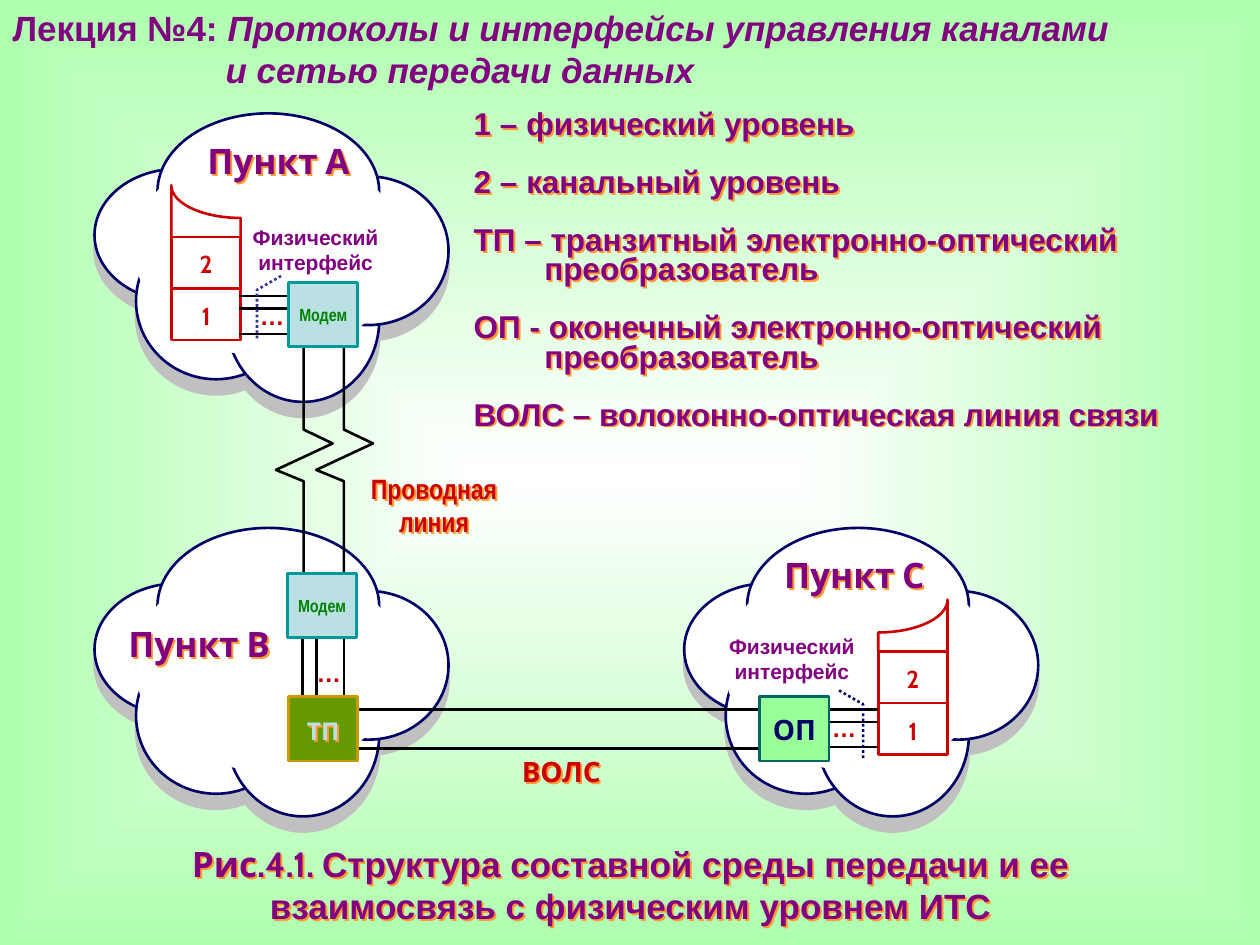
from math import cos, pi, sin

from lxml.etree import SubElement
from pptx import Presentation
from pptx.dml.color import RGBColor
from pptx.enum.dml import MSO_LINE
from pptx.enum.shapes import MSO_CONNECTOR, MSO_SHAPE
from pptx.enum.text import MSO_ANCHOR, MSO_AUTO_SIZE, PP_ALIGN
from pptx.oxml.ns import qn
from pptx.util import Inches, Pt

PURPLE, RED, NAVY, GREEN = "800080", "CC0000", "000066", "008000"
WHITE, BLACK, GREY, PALE_BLUE = "FFFFFF", "000000", "C0C0C0", "BBE0E3"
GLOW = "FF9933"
BOX_WIDTH, BOX_HEIGHT = 0.55, 0.51


def color(value):
    """Turn a hex string into a colour."""
    return RGBColor.from_string(value)


class Diagram:
    """Holds the style and the slide, and draws each kind of element."""

    def __init__(self, slide, line_width=1.5):
        """Keep the slide and the common line width."""
        self.slide = slide
        self.shapes = slide.shapes
        self.line_width = line_width

    def background(self, center, edge):
        """Fill the background with a gradient from the centre outwards."""
        fill = self.slide.background.fill
        fill.gradient()
        for stop, value in zip(fill.gradient_stops, (center, edge)):
            stop.color.rgb = color(value)
        gradient = self.slide.element.find(".//" + qn("a:gradFill"))
        gradient.remove(gradient.find(qn("a:lin")))
        shade = SubElement(gradient, qn("a:path"))
        shade.set("path", "shape")
        target = SubElement(shade, qn("a:fillToRect"))
        for side in "ltrb":
            target.set(side, "50000")

    def outline(self, shape, line, dash=None):
        """Set the line of a shape or connector."""
        shape.line.color.rgb = color(line)
        shape.line.width = Pt(self.line_width)
        if dash:
            shape.line.dash_style = dash

    def shape(self, kind, left, top, width, height, fill, line):
        """Add a preset shape."""
        shape = self.shapes.add_shape(kind, Inches(left), Inches(top), Inches(width), Inches(height))
        shape.shadow.inherit = False
        if fill:
            shape.fill.solid()
            shape.fill.fore_color.rgb = color(fill)
        else:
            shape.fill.background()
        self.outline(shape, line)
        return shape

    def line(self, start_x, start_y, end_x, end_y, line=BLACK):
        """Add a straight connector."""
        ends = [Inches(value) for value in (start_x, start_y, end_x, end_y)]
        connector = self.shapes.add_connector(MSO_CONNECTOR.STRAIGHT, *ends)
        self.outline(connector, line)
        SubElement(connector.element.spPr, qn("a:effectLst"))

    def polyline(self, points, line=BLACK, dash=None):
        """Add an open outline through the points."""
        points = [(Inches(x), Inches(y)) for x, y in points]
        builder = self.shapes.build_freeform(*points[0])
        builder.add_line_segments(points[1:], close=False)
        shape = builder.convert_to_shape()
        shape.shadow.inherit = False
        shape.fill.background()
        self.outline(shape, line, dash)

    def glow(self, shape):
        """Give the text of an unfilled shape an orange shadow."""
        shape.fill.background()
        shape.shadow.inherit = False
        effects = shape.element.spPr.find(qn("a:effectLst"))
        shadow = SubElement(effects, qn("a:outerShdw"), dist="20000", dir="2700000", algn="ctr", rotWithShape="0")
        SubElement(shadow, qn("a:srgbClr"), val=GLOW)

    def add_text(self, shape, paragraphs, size, value, align=PP_ALIGN.CENTER, inset=(0, 0), anchor=MSO_ANCHOR.TOP):
        """Add paragraphs given as lists of (text, font, italic) runs."""
        frame = shape.text_frame
        frame.word_wrap = True
        frame.auto_size = MSO_AUTO_SIZE.NONE
        frame.vertical_anchor = anchor
        frame.margin_left = frame.margin_right = Inches(inset[0])
        frame.margin_top = frame.margin_bottom = Inches(inset[1])
        for index, runs in enumerate(paragraphs):
            paragraph = frame.add_paragraph() if index else frame.paragraphs[0]
            paragraph.alignment = align
            paragraph.space_before = Pt(0)
            for text, font, italic in runs:
                run = paragraph.add_run()
                run.text = text
                run.font.name = font
                run.font.size = Pt(size)
                run.font.bold = True
                run.font.italic = italic
                run.font.color.rgb = color(value)
        return frame.paragraphs

    def label(self, text, left, top, width, height, size, value, font="Cabin", glow=False):
        """Add a centred label, one paragraph for each line of text."""
        shape = self.shapes.add_textbox(Inches(left), Inches(top), Inches(width), Inches(height))
        self.add_text(shape, [[(part, font, False)] for part in text.split("\n")], size, value)
        if glow:
            self.glow(shape)

    def placeholder(self, shape, left, top, width, height):
        """Move a template placeholder."""
        shape.left, shape.top = Inches(left), Inches(top)
        shape.width, shape.height = Inches(width), Inches(height)
        return shape

    def device(self, left, top, fill, line, text="", size=10, value=GREEN, font="Arial Narrow"):
        """Add a device box with its name."""
        shape = self.shape(MSO_SHAPE.RECTANGLE, left, top, BOX_WIDTH, BOX_HEIGHT, fill, line)
        if text:
            self.add_text(shape, [[(text, font, False)]], size, value, anchor=MSO_ANCHOR.MIDDLE)

    def cloud(self, left, top):
        """Add a cloud of overlapping ellipses with a grey shade."""
        lobes = [(1.54, 0.5, 1.27, 1.18), (1.05, 0.99, 1.21, 1.3), (0.33, 0.87, 1.27, 1.24), (0, 0.44, 1.32, 1.05)]
        parts = [(lobe, 0.12, GREY, GREY) for lobe in lobes]
        parts += [(lobe, 0, WHITE, NAVY) for lobe in lobes[::-1] + [(0.5, 0, 1.76, 1.24)]]
        parts.append(((0.33, 0.25, 2.09, 1.67), 0, WHITE, WHITE))
        for (x, y, width, height), drop, fill, line in parts:
            self.shape(MSO_SHAPE.OVAL, left + x, top + y + drop, width, height, fill, line)

    def layers(self, left, top, mirrored=False):
        """Add a protocol stack with a torn upper edge."""
        self.shape(MSO_SHAPE.RECTANGLE, left, top + 0.41, BOX_WIDTH, 0.82, None, RED)
        self.line(left, top + 0.82, left + BOX_WIDTH, top + 0.82, RED)
        angles = [step * pi / 48 for step in range(25)]
        curve = [(BOX_WIDTH * (1 - cos(angle)), 0.26 * sin(angle)) for angle in angles]
        edge = [(0, 0.41), *curve, (BOX_WIDTH, 0.41)]
        self.polyline([(left + (BOX_WIDTH - x if mirrored else x), top + y) for x, y in edge], RED)
        for index, number in enumerate("21"):
            self.label(number, left + 0.08, top + 0.51 + 0.41 * index, 0.39, 0.26, 14, RED)


def main():
    """Build the slide."""
    presentation = Presentation()
    presentation.slide_width, presentation.slide_height = Inches(10), Inches(7.5)
    slide = presentation.slides.add_slide(presentation.slide_layouts[1])
    diagram = Diagram(slide)
    diagram.background(WHITE, "AFFFAF")

    title = diagram.placeholder(slide.shapes.title, 0, 0, 9.03, 0.77)
    heading = [
        [("Лекция №4: ", "Arial", False), ("Протоколы и интерфейсы управления каналами", "Arial", True)],
        [("и сетью передачи данных", "Arial", True)],
    ]
    paragraphs = diagram.add_text(title, heading, 20, PURPLE, PP_ALIGN.LEFT, (0.1, 0.05))
    paragraphs[1]._p.get_or_add_pPr().set("marL", str(Inches(1.69)))

    legend = diagram.placeholder(slide.placeholders[1], 3.76, 0.89, 5.49, 2.67)
    terms = [
        "1 – физический уровень",
        "2 – канальный уровень",
        "ТП – транзитный электронно-оптический преобразователь",
        "ОП - оконечный электронно-оптический преобразователь",
        "ВОЛС – волоконно-оптическая линия связи",
    ]
    for paragraph in diagram.add_text(legend, [[(term, "Arial", False)] for term in terms], 18, PURPLE, PP_ALIGN.LEFT):
        paragraph.line_spacing = 0.78
        paragraph.space_after = Pt(16.2)
        properties = paragraph._p.get_or_add_pPr()
        properties.set("marL", str(Inches(0.56)))
        properties.set("indent", str(-Inches(0.56)))
        SubElement(properties, qn("a:buNone"))
    diagram.glow(legend)

    for left, top in [(0.75, 0.9), (0.75, 4.19), (5.43, 4.19)]:
        diagram.cloud(left, top)
    diagram.layers(1.36, 1.47)
    diagram.layers(6.97, 4.76, mirrored=True)

    for x in (2.41, 2.73):
        zigzag = [(0, 2.75), (0, 3.41), (0.23, 3.52), (-0.22, 3.73), (0, 3.82), (0, 4.55)]
        diagram.polyline([(x + shift, y) for shift, y in zigzag])
    for left, right, top in [(1.9, 2.29, 2.35), (6.58, 6.97, 5.63)]:
        for gap in (0, 0.1, 0.3):
            diagram.line(left, top + gap, right, top + gap)
    for x in (2.4, 2.51, 2.73):
        diagram.line(x, 5.07, x, 5.53)
    for y in (5.63, 5.94):
        diagram.line(2.84, y, 6.03, y)
    diagram.polyline([(2.23, 2.19), (2.04, 2.3), (2.04, 2.7)], "333399", MSO_LINE.ROUND_DOT)
    diagram.polyline([(6.66, 5.48), (6.85, 5.59), (6.85, 6.02)], NAVY, MSO_LINE.ROUND_DOT)

    for left, top in [(2.29, 2.24), (2.28, 4.55)]:
        diagram.device(left, top, PALE_BLUE, "009999", "Модем")
    diagram.device(2.29, 5.53, "669900", "CC9900")
    diagram.device(6.03, 5.53, "99FF99", "006666", "ОП", 16, NAVY, "Cabin")
    diagram.label("ТП", 2.37, 5.68, 0.39, 0.26, 14, PALE_BLUE, glow=True)

    for left, top in [(2.04, 2.39), (6.58, 5.66), (2.49, 5.22)]:
        diagram.label("…", left, top, 0.24, 0.22, 14, RED, "Arial")
    for left, top in [(1.93, 1.78), (5.71, 5.03)]:
        diagram.label("Физический\nинтерфейс", left, top, 1.15, 0.46, 12, PURPLE, "Arial")
    for name, left, top in [("А", 1.62, 1.11), ("В", 0.99, 4.94), ("С", 6.19, 4.39)]:
        diagram.label(f"Пункт {name}", left, top, 1.18, 0.36, 20, PURPLE, glow=True)
    diagram.label("ВОЛС", 4.07, 5.99, 0.77, 0.21, 16, RED, glow=True)
    diagram.label("Проводная\nлиния", 2.78, 3.74, 1.33, 0.66, 16, RED, "Arial Narrow", glow=True)

    caption = slide.shapes.add_textbox(Inches(0.67), Inches(6.64), Inches(8.67), Inches(0.77))
    words = "Структура составной среды передачи и ее взаимосвязь с физическим уровнем ИТС"
    diagram.add_text(caption, [[("Рис.4.1. ", "Cabin", False), (words, "Arial", False)]], 20, PURPLE, inset=(0.1, 0.05))
    diagram.glow(caption)
    presentation.save("out.pptx")


if __name__ == "__main__":
    main()
